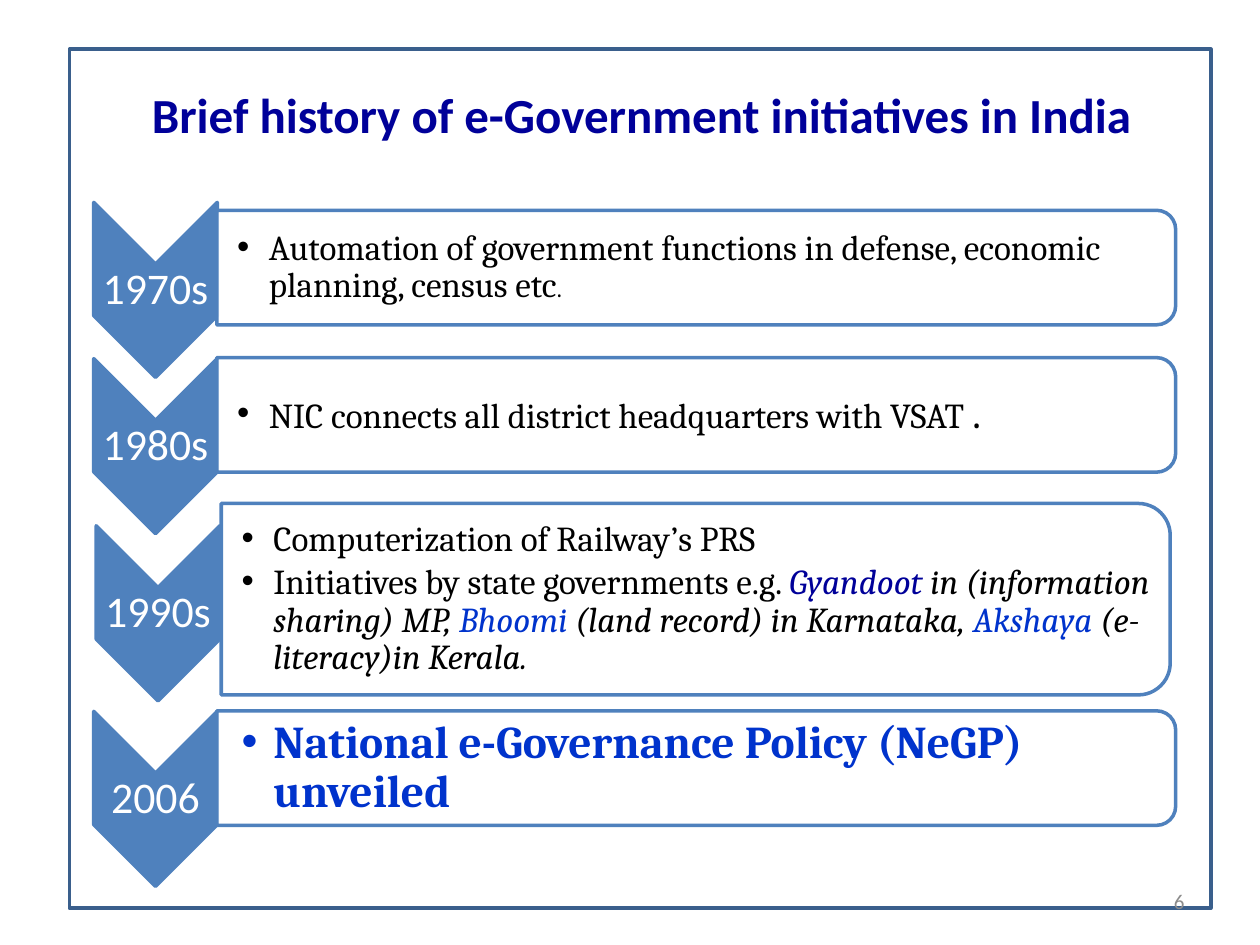
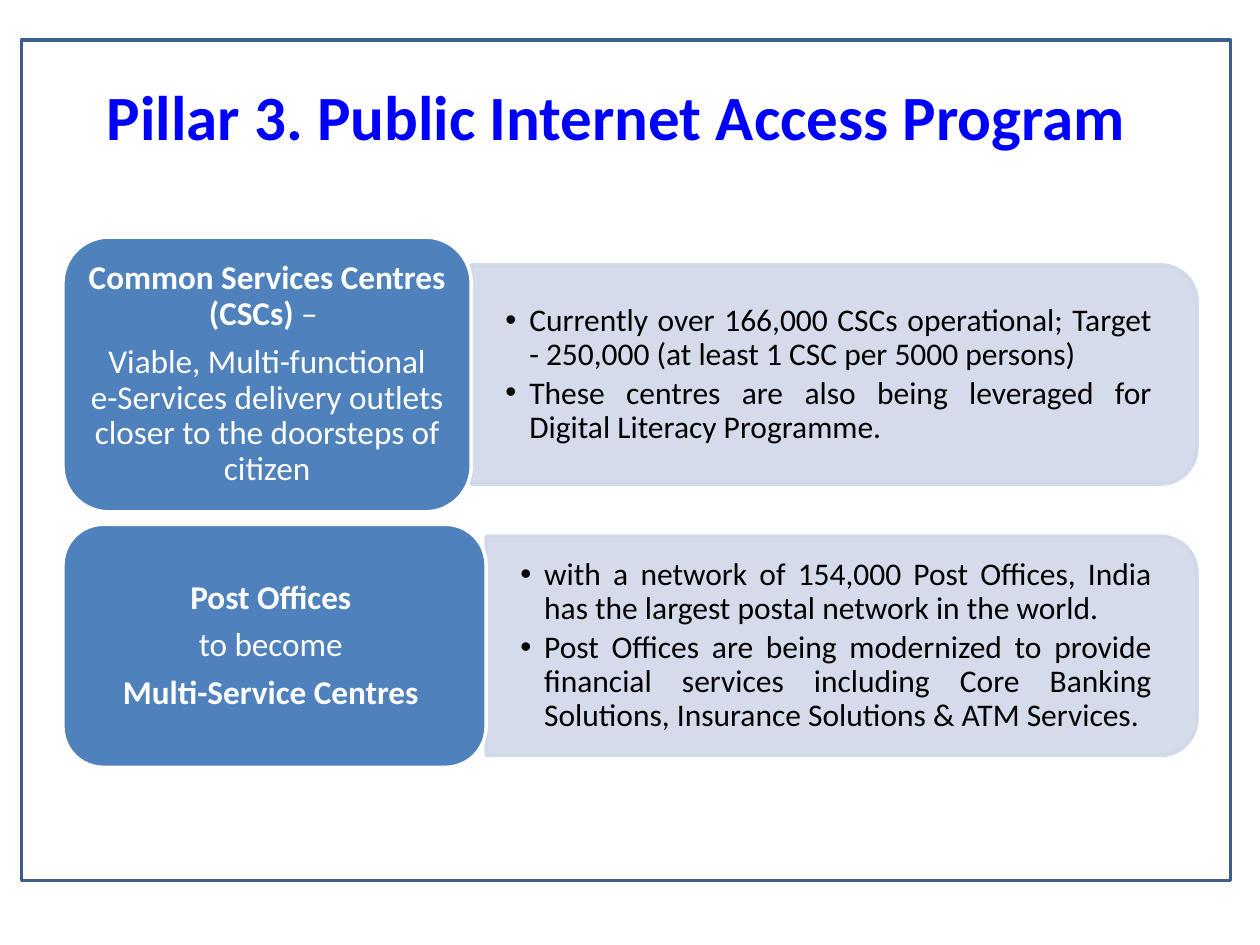
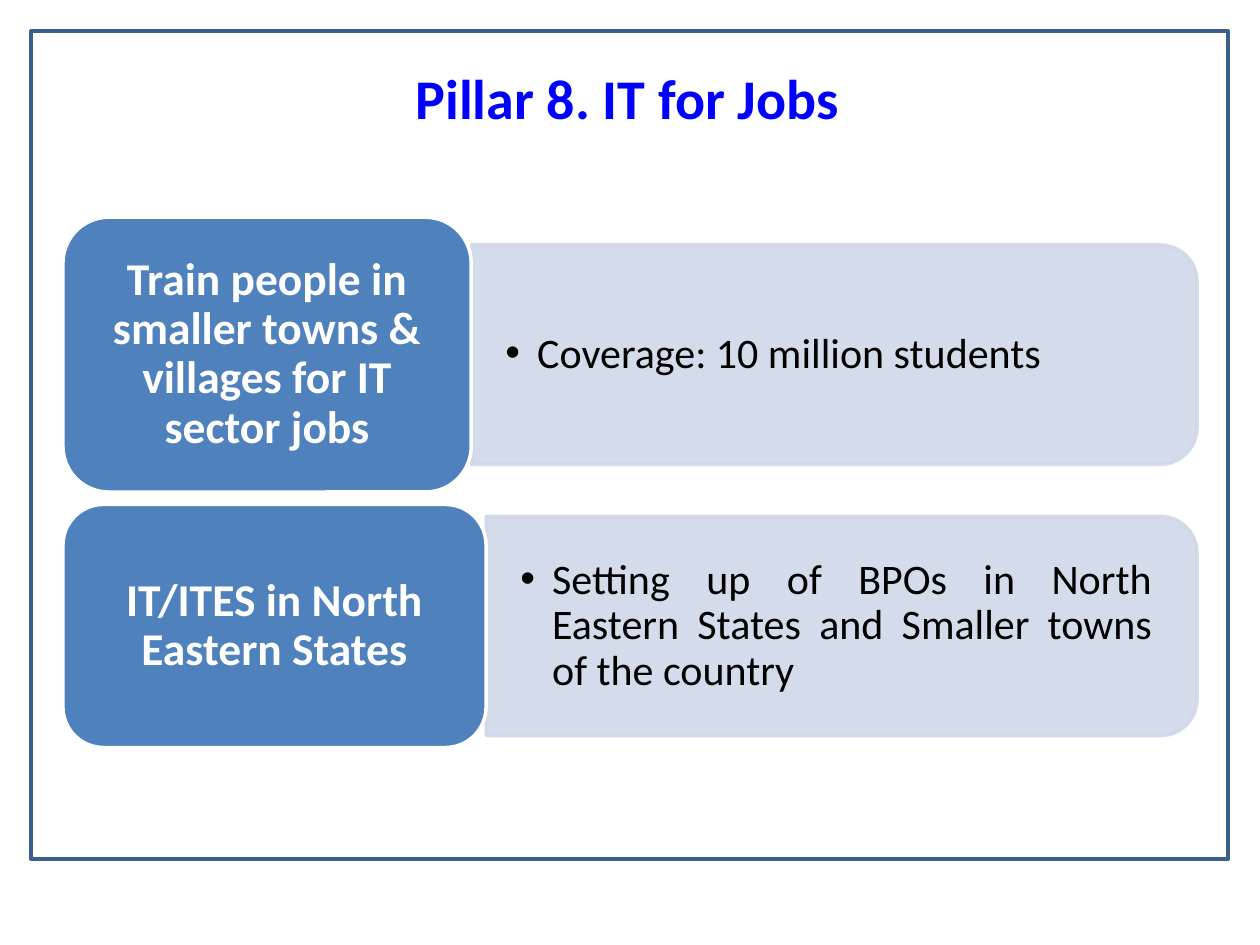
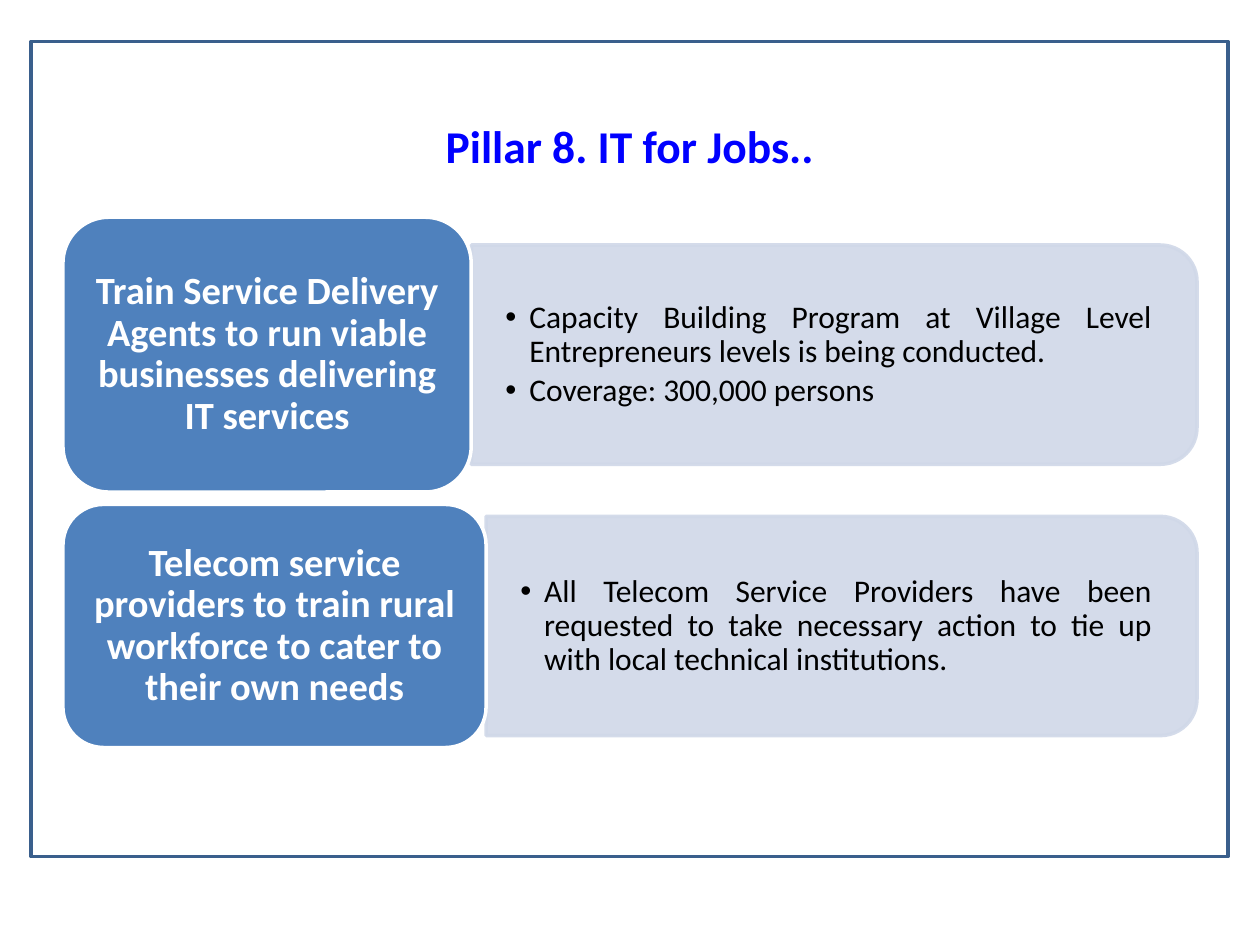
import dataclasses
import typing

import lxml.etree
import pptx
import pptx.dml.color
import pptx.enum.shapes
import pptx.enum.text
import pptx.oxml.ns
import pptx.util

Cm = pptx.util.Cm
Pt = pptx.util.Pt
qn = pptx.oxml.ns.qn
KIND = pptx.enum.shapes.MSO_SHAPE
ALIGN = pptx.enum.text.PP_ALIGN

HUES = {
    "white": "FFFFFF",
    "black": "000000",
    "blue": "4F81BD",
    "pale": "D0D8E8",
    "frame": "3A5F8C",
    "navy": "000099",
    "royal": "0033CC",
    "title": "0000FF",
    "grey": "8C8C8C",
}
CARD_LEFT = 1.27
CARD_STEP = 5.79
CARD_SIZES = ((8.23, 5.54), (8.53, 4.9))
BAR_RIGHT = 24.13
BAR_HIGH = 4.42
CURVE = 0.049


class Box(typing.NamedTuple):
    left: float
    top: float
    wide: float
    high: float


class Run(typing.NamedTuple):
    text: str
    hue: str = "black"
    bold: bool = False
    slant: bool = False
    size: float = 0


Para = tuple[Run, ...]


@dataclasses.dataclass(frozen=True)
class Style:
    size: float
    font: str = "Calibri"
    align: typing.Any = ALIGN.CENTER
    pad: tuple[float, float, float, float] = (0.25, 0.13, 0.25, 0.13)
    line: float = 1.0
    after: float = 0
    indent: float = 0


@dataclasses.dataclass(frozen=True)
class Era:
    year: str
    tip: tuple[float, float]
    bar: Box
    paras: tuple[Para, ...]
    size: float = 20
    pad: tuple[float, float, float, float] = (0.41, 0.03, 0.03, 0.03)


@dataclasses.dataclass(frozen=True)
class Row:
    card: tuple[Para, ...]
    points: tuple[str, ...]


@dataclasses.dataclass(frozen=True)
class Pillar:
    title: str
    spot: Box
    size: float
    frame: Box
    top: float
    card_size: float
    point_size: float
    indent: float
    rows: tuple[Row, Row]


def tint(hue: str) -> pptx.dml.color.RGBColor:
    return pptx.dml.color.RGBColor.from_string(HUES[hue])


def draw(slide, kind, box: Box, fill: str | None, line: str, turned: bool = False):
    left, top, wide, high = box
    if turned:
        left, top = left + (wide - high) / 2, top + (high - wide) / 2
        wide, high = high, wide
    shape = slide.shapes.add_shape(kind, Cm(left), Cm(top), Cm(wide), Cm(high))
    shape.shadow.inherit = False
    shape.rotation = 90 if turned else 0
    if fill:
        shape.fill.solid()
        shape.fill.fore_color.rgb = tint(fill)
    else:
        shape.fill.background()
    shape.line.color.rgb = tint(line)
    shape.line.width = Pt(2)
    return shape


def draw_bar(slide, box: Box, fill: str, line: str) -> None:
    shape = draw(slide, KIND.ROUND_2_SAME_RECTANGLE, box, fill, line, True)
    nodes = list(shape.element.spPr.iter(qn("a:srgbClr")))
    for node in nodes if fill == line else nodes[:1]:
        lxml.etree.SubElement(node, qn("a:alpha"), val="90000")


def add_bullet(para, indent: float) -> None:
    props = para._p.get_or_add_pPr()
    props.set("marL", str(Cm(indent)))
    props.set("indent", str(-Cm(indent)))
    lxml.etree.SubElement(props, qn("a:buFont"), typeface="Arial")
    lxml.etree.SubElement(props, qn("a:buChar"), char="•")


def write(slide, box: Box, paras: tuple[Para, ...], style: Style) -> None:
    frame = slide.shapes.add_textbox(*map(Cm, box)).text_frame
    frame.word_wrap = True
    frame.vertical_anchor = pptx.enum.text.MSO_ANCHOR.MIDDLE
    frame.margin_left, frame.margin_top, frame.margin_right, frame.margin_bottom = map(Cm, style.pad)
    for index, runs in enumerate(paras):
        para = frame.add_paragraph() if index else frame.paragraphs[0]
        if style.indent:
            add_bullet(para, style.indent)
        para.alignment = style.align
        para.line_spacing = style.line
        para.space_after = Pt(style.size * style.after)
        for item in runs:
            if item.text == "\n":
                para.add_line_break()
                continue
            run = para.add_run()
            run.text = item.text
            run.font.name = style.font
            run.font.size = Pt(item.size or style.size)
            run.font.bold = item.bold
            run.font.italic = item.slant
            run.font.color.rgb = tint(item.hue)


def bar_text(box: Box) -> Box:
    inset = box.high * CURVE
    return Box(box.left, box.top + inset, box.wide - inset, box.high - 2 * inset)


def card_text(box: Box) -> Box:
    inset = min(box.wide, box.high) * CURVE
    return Box(box.left + inset, box.top + inset, box.wide - 2 * inset, box.high - 2 * inset)


def draw_frame(slide, box: Box) -> None:
    draw(slide, KIND.RECTANGLE, box, None, "frame")


def draw_title(slide, box: Box, text: str, size: float, hue: str) -> None:
    write(slide, box, ((Run(text, hue, True),),), Style(size))


def draw_era(slide, era: Era) -> None:
    left, top = era.tip
    draw(slide, KIND.CHEVRON, Box(left, top, 2.49, 3.53), "blue", "blue", True)
    year = Style(25, pad=(0.05,) * 4, line=0.9, after=0.35)
    write(slide, Box(left, top + 1.23, 2.49, 1.07), ((Run(era.year, "white"),),), year)
    draw_bar(slide, era.bar, "white", "blue")
    style = Style(era.size, "Cambria", ALIGN.LEFT, era.pad, 0.9, 0.15, 0.64)
    write(slide, bar_text(era.bar), era.paras, style)


def draw_history(slide) -> None:
    draw_frame(slide, Box(1.4, 0.99, 23.01, 17.32))
    draw_title(slide, Box(1.5, 1.32, 22.86, 1.96),
               "Brief history of e-Government initiatives in India", 28, "navy")
    for era in ERAS:
        draw_era(slide, era)
    write(slide, Box(18.21, 17.65, 5.92, 1.02), ((Run("6", "grey"),),),
          Style(12, align=ALIGN.RIGHT))


def draw_pillar(slide, page: Pillar) -> None:
    side = page.card_size * 0.0106
    label = Style(page.card_size, pad=(side, side / 2) * 2, line=0.9, after=0.35)
    points = Style(page.point_size, align=ALIGN.JUSTIFY, pad=(0.69, 0.36) * 2,
                   line=0.9, after=0.15, indent=page.indent)
    for index, (row, (wide, high)) in enumerate(zip(page.rows, CARD_SIZES)):
        card = Box(CARD_LEFT, page.top + index * CARD_STEP, wide, high)
        edge = card.left + wide
        bar = Box(edge, card.top + (high - BAR_HIGH) / 2, BAR_RIGHT - edge, BAR_HIGH)
        draw_bar(slide, bar, "pale", "pale")
        write(slide, bar_text(bar), tuple((Run(text),) for text in row.points), points)
        draw(slide, KIND.ROUNDED_RECTANGLE, card, "blue", "white")
        write(slide, card_text(card), row.card, label)
    draw_title(slide, page.spot, page.title, page.size, "title")
    draw_frame(slide, page.frame)


def strong(text: str) -> Para:
    return (Run(text, "white", True),)


ERAS = (
    Era("1970s", (1.89, 4.08), Box(4.37, 4.24, 19.33, 2.31), (
        (Run("Automation of government functions in defense, economic planning, census etc"),
         Run(".", size=14)),
    )),
    Era("1980s", (1.89, 7.23), Box(4.37, 7.21, 19.33, 2.31), (
        (Run("NIC connects all district headquarters with VSAT "), Run(".", size=24)),
    )),
    Era("1990s", (1.94, 10.6), Box(4.46, 10.15, 19.13, 3.86), (
        (Run("Computerization of Railway’s PRS"),),
        (Run("Initiatives by state governments e.g. "),
         Run("Gyandoot ", "navy", slant=True),
         Run("in (information sharing) MP, ", slant=True),
         Run("Bhoomi ", "royal", slant=True),
         Run("(land record) in Karnataka, ", slant=True),
         Run("Akshaya ", "royal", slant=True),
         Run("(e-literacy)in Kerala.", slant=True)),
    )),
    Era("2006", (1.89, 14.34), Box(4.37, 14.33, 19.33, 2.31), (
        (Run("National e-Governance Policy (NeGP) unveiled", "royal", True),),
    ), 26, (0.5, 0.05, 0.05, 0.05)),
)

PILLARS = (
    Pillar("Pillar 3. Public Internet Access Program ", Box(1.14, 1.9, 22.86, 0.86), 36,
           Box(0.43, 0.81, 24.38, 16.94), 4.78, 19, 18, 0.48, (
        Row((
            (Run("Common Services Centres (CSCs)", "white", True), Run(" – ", "white")),
            (Run("Viable, Multi-functional", "white"), Run("\n"),
             Run("e-Services delivery outlets closer to the doorsteps of citizen", "white")),
        ), (
            "Currently over 166,000 CSCs operational; Target - 250,000 (at least 1 CSC per 5000 persons)",
            "These centres are also being leveraged for Digital Literacy Programme.",
        )),
        Row((
            strong("Post Offices "),
            (Run("to become ", "white"),),
            strong("Multi-Service Centres "),
        ), (
            "with a network of 154,000 Post Offices, India has the largest postal network in the world. ",
            "Post Offices are being modernized to provide financial services including "
            "Core Banking Solutions, Insurance Solutions & ATM Services. ",
        )),
    )),
    Pillar("Pillar 8. IT for Jobs", Box(1.22, 1.52, 22.86, 0.86), 32,
           Box(0.63, 0.63, 24.13, 16.69), 4.38, 26, 24, 0.64, (
        Row((strong("Train people in smaller towns & villages for IT sector jobs"),),
            ("Coverage: 10 million students ",)),
        Row((strong("IT/ITES in North Eastern States"),),
            ("Setting up of BPOs in North Eastern States and Smaller towns of the country",)),
    )),
    Pillar("Pillar 8. IT for Jobs..", Box(1.27, 2.51, 22.86, 0.86), 26,
           Box(0.63, 0.84, 24.13, 16.43), 4.38, 22, 18, 0.48, (
        Row((strong("Train Service Delivery Agents to run viable businesses delivering IT services"),), (
            "Capacity Building Program at Village Level Entrepreneurs levels is being conducted.",
            "Coverage: 300,000 persons ",
        )),
        Row((strong("Telecom service providers to train rural workforce to cater to their own needs"),), (
            "All Telecom Service Providers have been requested to take necessary action "
            "to tie up with local technical institutions. ",
        )),
    )),
)


def main() -> None:
    deck = pptx.Presentation()
    deck.slide_width, deck.slide_height = Cm(25.4), Cm(19.05)
    blank = deck.slide_layouts[6]
    draw_history(deck.slides.add_slide(blank))
    for page in PILLARS:
        draw_pillar(deck.slides.add_slide(blank), page)
    deck.save("out.pptx")


if __name__ == "__main__":
    main()
